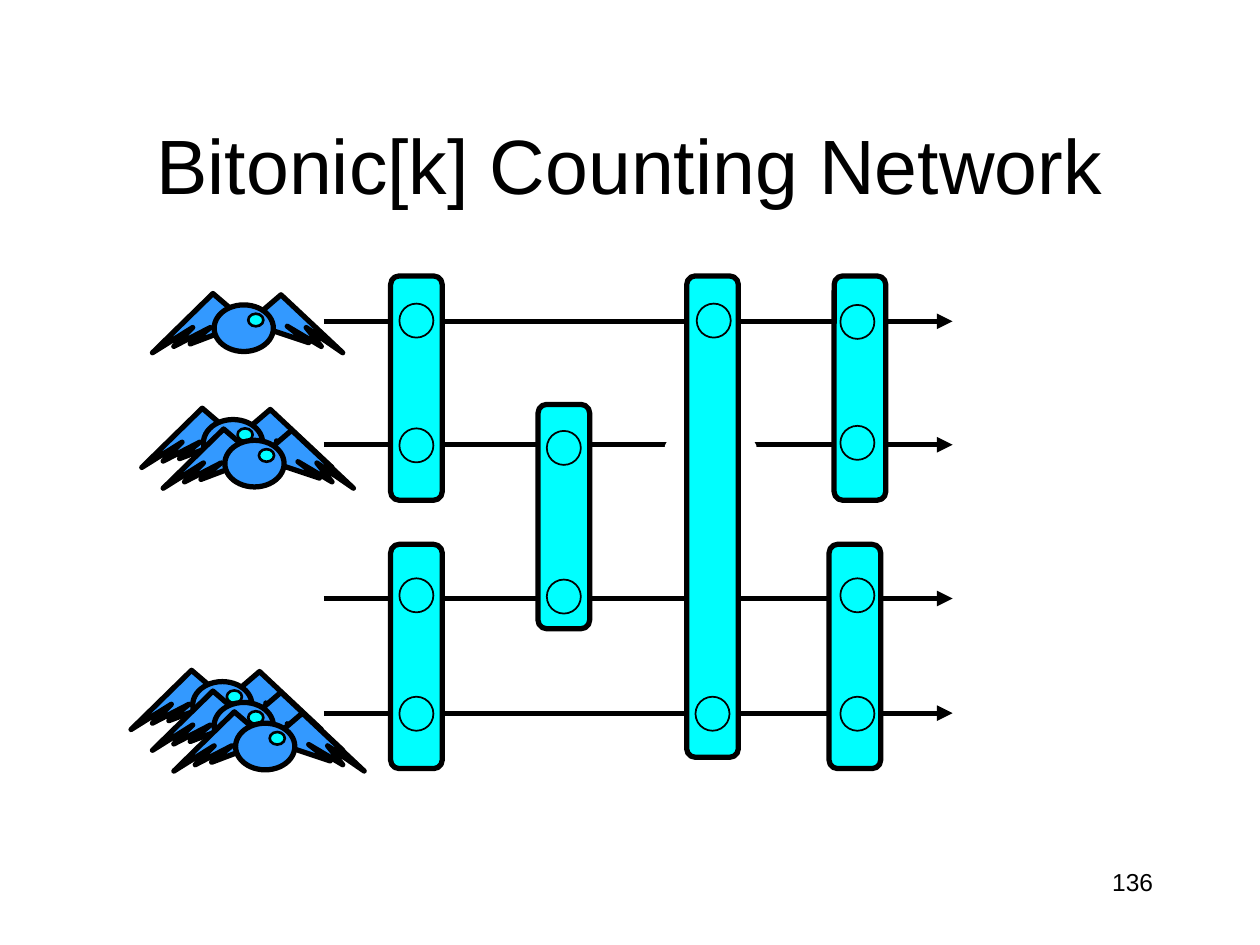
from lxml import etree
from pptx import Presentation
from pptx import util as u
from pptx.dml.color import RGBColor
from pptx.enum import shapes, text
from pptx.oxml import ns

Inches = u.Inches
FONT = "Arial"
COLORS = {"black": "000000", "white": "FFFFFF", "cyan": "00FFFF", "blue": "3399FF"}

# Token geometry, relative to the token's top-left corner
RIGHT_WING = [(0.81, 0.19), (1.02, 0.01), (1.51, 0.47), (1.22, 0.27), (1.34, 0.42),
              (1.07, 0.26), (1.24, 0.39), (0.76, 0.23)]
LEFT_WING = [(0.69, 0.18), (0.48, 0), (0, 0.47), (0.32, 0.27), (0.17, 0.42),
             (0.46, 0.27), (0.3, 0.4), (0.75, 0.23)]
TOKEN_X, STEP_X, STEP_Y = 1.21, 0.17, 0.165
STACKS = [(5.32, 3), (3.24, 2), (2.33, 1)]  # top, number of tokens

# Network geometry
WIRES = [2.55, 3.53, 4.75, 5.66]
WIRE_START, WIRE_END = 2.57, 7.56
BAR_W, BAR_H, PORT = 0.41, 1.78, 0.27
BALANCERS = [  # bar left, top, height, then the corner of each port
    (3.1, 2.19, BAR_H, [(3.17, 2.41), (3.17, 3.4)]),
    (3.1, 4.32, BAR_H, [(3.17, 4.59), (3.17, 5.53)]),
    (4.27, 3.21, BAR_H, [(4.34, 3.42), (4.34, 4.6)]),
    (5.45, 2.19, 3.82, [(5.53, 2.41), (5.52, 5.53)]),
    (6.58, 4.32, BAR_H, [(6.67, 4.59), (6.67, 5.53)]),
    (6.62, 2.19, BAR_H, [(6.67, 2.42), (6.67, 3.38)]),
]


def rgb(name):
    return RGBColor.from_string(COLORS[name])


def style(sp, fill, line, width):
    sp.shadow.inherit = False
    if fill:
        sp.fill.solid()
        sp.fill.fore_color.rgb = rgb(fill)
    else:
        sp.fill.background()
    sp.line.color.rgb = rgb(line)
    sp.line.width = u.Pt(width)


def add_preset(parent, kind, box, fill, line="black", width=3):
    sp = parent.add_shape(kind, *(Inches(v) for v in box))
    style(sp, fill, line, width)
    return sp


def add_ellipse(parent, box, fill, line="black", width=3):
    return add_preset(parent, shapes.MSO_SHAPE.OVAL, box, fill, line, width)


def add_text(s, box, words, size, align, anchor):
    tf = s.shapes.add_textbox(*(Inches(v) for v in box)).text_frame
    tf.word_wrap = True
    tf.vertical_anchor = anchor
    p = tf.paragraphs[0]
    p.alignment = align
    r = p.add_run()
    r.text = words
    r.font.name, r.font.size = FONT, u.Pt(size)
    r.font.color.rgb = rgb("black")


def add_wire(s, y):
    c = s.shapes.add_connector(shapes.MSO_CONNECTOR.STRAIGHT, Inches(WIRE_START),
                               Inches(y), Inches(WIRE_END), Inches(y))
    c.line.color.rgb = rgb("black")
    c.line.width = u.Pt(3)
    etree.SubElement(c.line._get_or_add_ln(), ns.qn("a:tailEnd"), type="triangle")
    etree.SubElement(c._element.spPr, ns.qn("a:effectLst"))


def add_wing(parent, x, y, outline):
    pts = [(Inches(x + dx), Inches(y + dy)) for dx, dy in outline]
    fb = parent.build_freeform(*pts[0])
    fb.add_line_segments(pts[1:], close=True)
    style(fb.convert_to_shape(), "blue", "black", 3)


def add_token(s, x, y):
    parent = s.shapes.add_group_shape().shapes
    for outline in (RIGHT_WING, LEFT_WING):
        add_wing(parent, x, y, outline)
    add_ellipse(parent, (x + 0.49, y + 0.09, 0.47, 0.37), "blue")
    add_ellipse(parent, (x + 0.76, y + 0.16, 0.12, 0.1), "cyan", width=1.5)


def add_stack(s, top, count):
    left = TOKEN_X - (count - 1) * STEP_X / 2
    for i in range(count):
        add_token(s, left + i * STEP_X, top + i * STEP_Y)


def main():
    prs = Presentation()
    prs.slide_width, prs.slide_height = Inches(10), Inches(7.5)
    s = prs.slides.add_slide(prs.slide_layouts[6])

    # Title and slide number
    add_text(s, (0.75, 0.67, 8.5, 1.25), "Bitonic[k] Counting Network", 44,
             text.PP_ALIGN.CENTER, text.MSO_ANCHOR.MIDDLE)
    add_text(s, (7.17, 6.83, 2.08, 0.5), "136", 14,
             text.PP_ALIGN.RIGHT, text.MSO_ANCHOR.TOP)

    # Wires, with a gap where the second one passes behind the tall balancer
    for y in WIRES:
        add_wire(s, y)
    add_ellipse(s.shapes, (5.28, 3.41, 0.72, 0.29), "white", "white", 0.75)

    # Balancer bars
    for x, y, h, _ in BALANCERS:
        bar = add_preset(s.shapes, shapes.MSO_SHAPE.ROUNDED_RECTANGLE,
                         (x, y, BAR_W, h), "cyan")
        bar.adjustments[0] = 0.167

    # Winged tokens waiting at the inputs
    for top, count in STACKS:
        add_stack(s, top, count)

    # Balancer ports
    for *_, ports in BALANCERS:
        for x, y in ports:
            add_ellipse(s.shapes, (x, y, PORT, PORT), None, width=1)

    prs.save("out.pptx")


if __name__ == "__main__":
    main()
